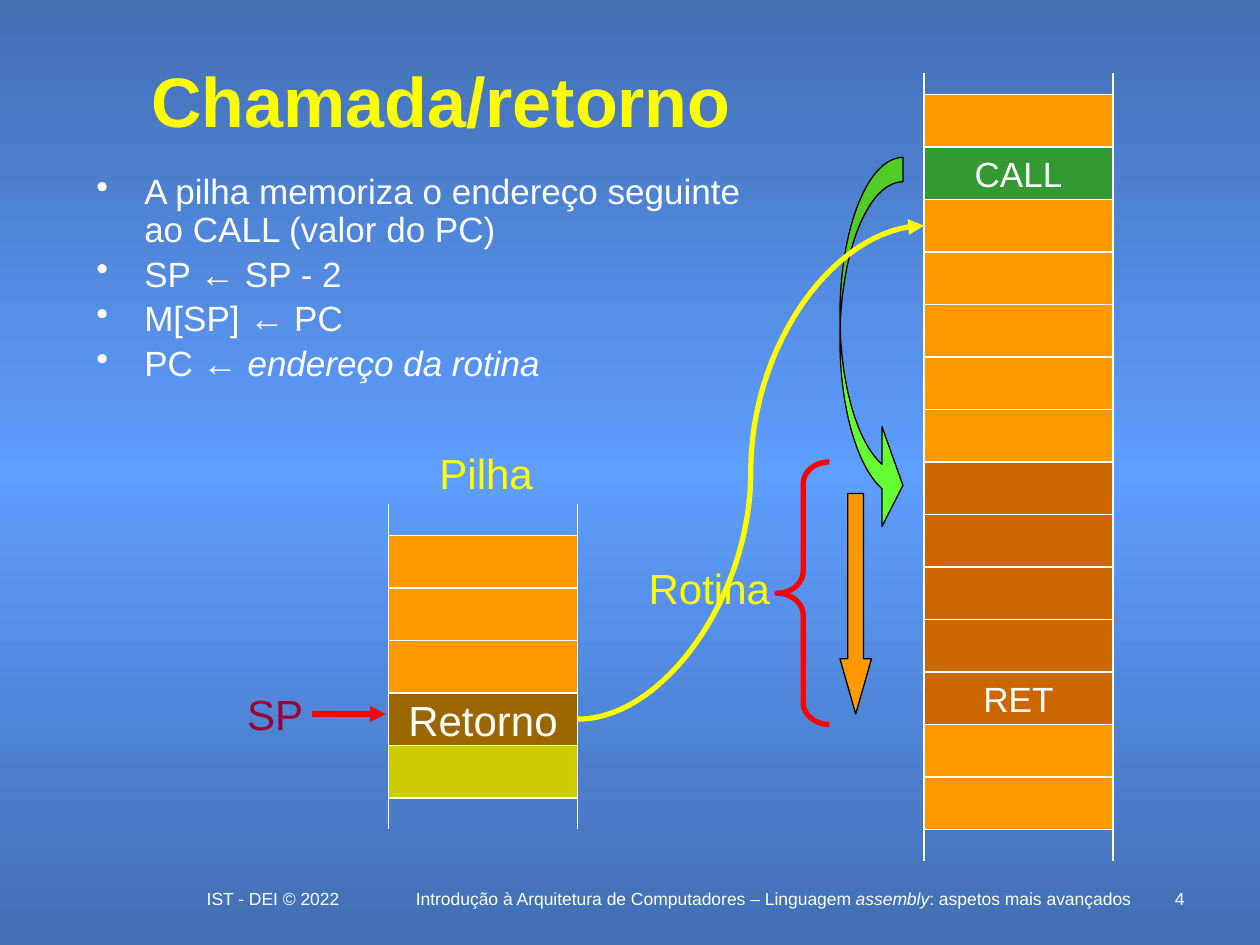
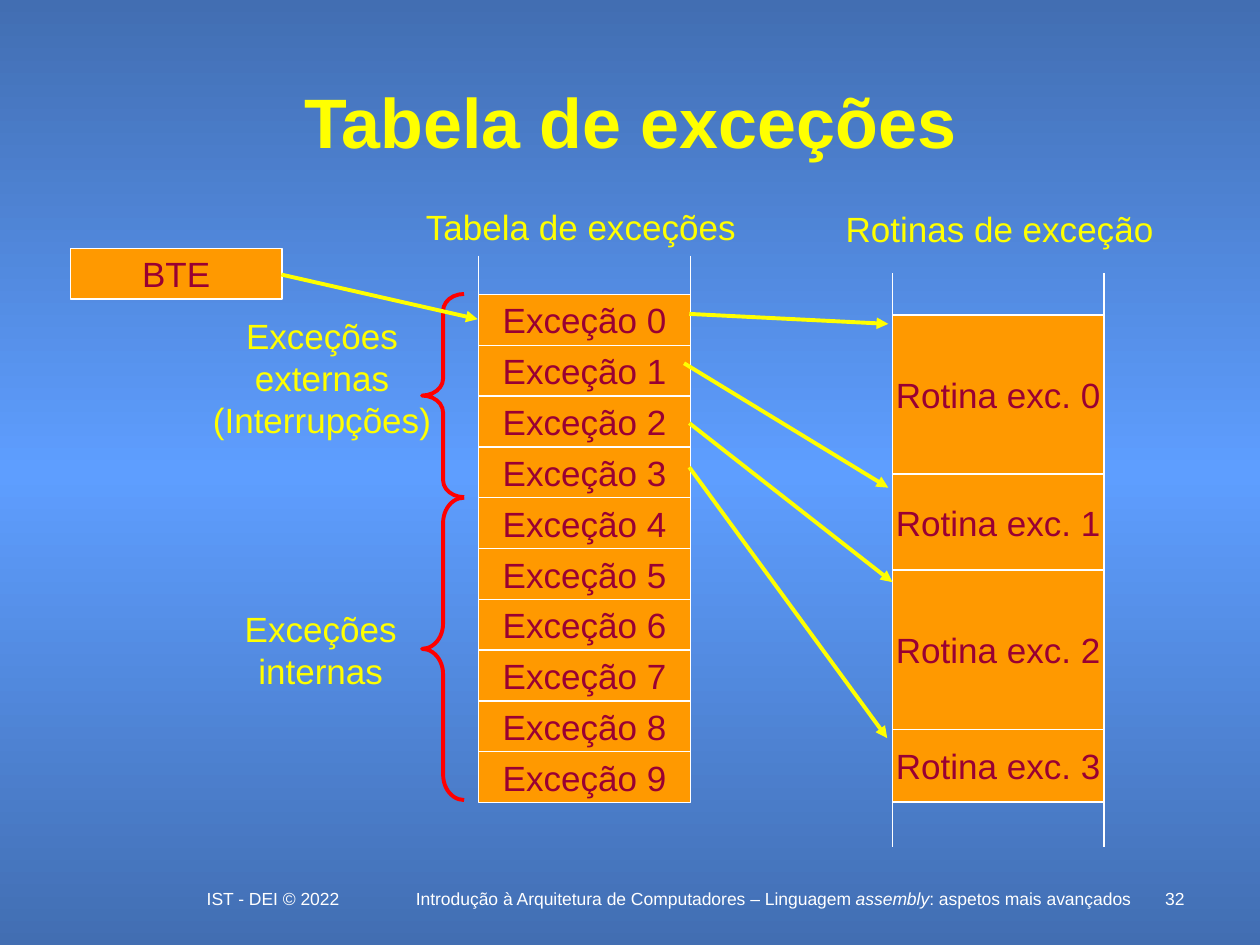
"""Two lecture slides on routine calls and the exception table."""
from copy import deepcopy
from dataclasses import dataclass

from pptx import Presentation
from pptx.dml.color import RGBColor
from pptx.enum.shapes import MSO_CONNECTOR, MSO_SHAPE
from pptx.enum.text import MSO_ANCHOR, PP_ALIGN
from pptx.oxml.ns import qn
from pptx.util import Inches, Pt


@dataclass(frozen=True)
class Theme:
    font: str = "Arial"
    edge: str = "426EB2"
    glow: str = "5E9EFF"
    white: str = "FFFFFF"
    black: str = "000000"
    yellow: str = "FFFF00"
    red: str = "FF0000"
    wine: str = "990033"
    orange: str = "FF9900"
    routine: str = "CC6600"
    call: str = "339933"
    saved: str = "996600"
    olive: str = "CCCC00"
    lime: str = "66FF33"
    title: int = 40
    label: int = 24
    body: int = 20
    footer: int = 10
    thin: float = 0.75
    medium: float = 2.25
    thick: float = 3


THEME = Theme()
COLUMNS, ROWS = 120, 90
CELL = Inches(10) / COLUMNS


def put(slide, box, lines=(), size=THEME.body, color=THEME.white, form=None,
        fill=None, line=None, width=THEME.thin, adjust=(), wrap=False,
        align=PP_ALIGN.CENTER, anchor=MSO_ANCHOR.TOP, bold=False, bullet=False):
    """Place a text or preset shape; asterisks in lines enclose italics."""
    place = [round(length * CELL) for length in box]
    if form is None:
        part = slide.shapes.add_textbox(*place)
    else:
        part = slide.shapes.add_shape(form, *place)
        part.shadow.inherit = False
        for index, value in enumerate(adjust):
            part.adjustments[index] = value
        if fill:
            part.fill.solid()
            part.fill.fore_color.rgb = RGBColor.from_string(fill)
        else:
            part.fill.background()
        part.line.color.rgb = RGBColor.from_string(line)
        part.line.width = Pt(width)
    frame = part.text_frame
    frame.word_wrap = wrap
    frame.vertical_anchor = anchor
    for index, text in enumerate(lines):
        paragraph = frame.add_paragraph() if index else frame.paragraphs[0]
        paragraph.alignment = align
        if bullet:
            properties = paragraph._p.get_or_add_pPr()
            properties.set("marL", str(Inches(0.38)))
            properties.set("indent", str(-Inches(0.38)))
            paragraph.line_spacing = 0.9
            if index:
                paragraph.space_before = Pt(size * 0.2)
            mark = properties.makeelement(qn("a:buChar"), {"char": "•"})
            properties.append(mark)
        paragraph.font.name = THEME.font
        paragraph.font.size = Pt(size)
        paragraph.font.bold = bold
        paragraph.font.color.rgb = RGBColor.from_string(color)
        for position, piece in enumerate(text.split("*")):
            if piece:
                run = paragraph.add_run()
                run.text = piece
                if position % 2:
                    run.font.italic = True


def stroke(slide, start, end, color=THEME.white, width=THEME.thin,
           arrow=False, kind=MSO_CONNECTOR.STRAIGHT):
    """Draw a line between two grid points."""
    link = slide.shapes.add_connector(
        kind, *[round(length * CELL) for length in (*start, *end)])
    link.line.color.rgb = RGBColor.from_string(color)
    link.line.width = Pt(width)
    properties = link._element.spPr
    if arrow:
        outline = link.line._get_or_add_ln()
        outline.append(outline.makeelement(qn("a:tailEnd"), {"type": "triangle"}))
    properties.append(properties.makeelement(qn("a:effectLst"), {}))


deck = Presentation()
deck.slide_width, deck.slide_height = round(COLUMNS * CELL), round(ROWS * CELL)

backdrop = deck.slide_master.background.fill
backdrop.gradient()
backdrop.gradient_angle = 90
stops = deck.slide_master.element.find(".//" + qn("a:gsLst"))
stops.append(deepcopy(stops[0]))
for stop, position, shade in zip(backdrop.gradient_stops, (0, 0.5, 1),
                                 (THEME.edge, THEME.glow, THEME.edge)):
    stop.position = position
    stop.color.rgb = RGBColor.from_string(shade)

slides = []
for heading, heading_box, number in (
        ("Chamada/retorno", (8, 5, 68, 9), "4"),
        ("Tabela de exceções", (8, 7, 104, 9), "32")):
    slide = deck.slides.add_slide(deck.slide_layouts[6])
    slides.append(slide)
    put(slide, (38, 84, 71.3, 3),
        ["Introdução à Arquitetura de Computadores – Linguagem *assembly*: "
         "aspetos mais avançados"], THEME.footer, wrap=True)
    put(slide, (109, 84, 5, 2), [number], THEME.footer, wrap=True,
        align=PP_ALIGN.RIGHT)
    put(slide, (16, 84, 20, 3), ["IST - DEI © 2022"], THEME.footer, wrap=True)
    put(slide, heading_box, [heading], THEME.title, THEME.yellow, wrap=True,
        anchor=MSO_ANCHOR.MIDDLE, bold=True)
calls, exceptions = slides

plain = ("", 5, THEME.orange)
routine = ("", 5, THEME.routine)
memory = [plain, ("CALL", 5, THEME.call), *[plain] * 5, *[routine] * 4,
          ("RET", 5, THEME.routine), *[plain] * 2]
stack = [*[plain] * 3, ("Retorno", 5, THEME.saved), ("", 5, THEME.olive)]
table = [(f"Exceção {index}", 4.84, THEME.orange) for index in range(10)]
routines = [(f"Rotina exc. {index}", height, THEME.orange)
            for index, height in enumerate((15.15, 9.15, 15.15, 6.95))]

for slide, left, width, top, rails, cells, size, color in (
        (calls, 88, 18, 9, (7, 82), memory, THEME.body, THEME.white),
        (calls, 37, 18, 51, (48, 79), stack, THEME.label, THEME.white),
        (exceptions, 45.6, 20.15, 28.05, (24.35, 76.4), table,
         THEME.body, THEME.wine),
        (exceptions, 85, 20.15, 30, (26.05, 80.65), routines,
         THEME.body, THEME.wine)):
    for text, height, fill in cells:
        put(slide, (left, top, width, height), [text] if text else [], size, color,
            MSO_SHAPE.RECTANGLE, fill, THEME.white, anchor=MSO_ANCHOR.MIDDLE)
        top += height
    for rail in (left, left + width):
        stroke(slide, (rail, rails[0]), (rail, rails[1]))

put(calls, (8, 16, 68, 26),
    ["A pilha memoriza o endereço seguinte ao CALL (valor do PC)",
     "SP ← SP - 2", "M[SP] ← PC", "PC ← *endereço da rotina*"],
    wrap=True, align=PP_ALIGN.LEFT, bullet=True)
for text, box, color in (("Rotina", (60.5, 53, 14.1, 6.1), THEME.yellow),
                         ("Pilha", (40.6, 42, 11.4, 6.1), THEME.yellow),
                         ("SP", (22.3, 65, 7.8, 6.1), THEME.wine)):
    put(calls, box, [text], THEME.label, color)
for form, box, fill, adjust in (
        (MSO_SHAPE.DOWN_ARROW, (80, 47, 3, 21), THEME.orange, (0.5, 1.75)),
        (MSO_SHAPE.CURVED_RIGHT_ARROW, (80, 15, 6, 36), THEME.lime,
         (0.386, 1.586, 0.333))):
    put(calls, box, form=form, fill=fill, line=THEME.black, adjust=adjust)
stroke(calls, (55, 68.5), (88, 21.5), THEME.yellow, THEME.thick, True,
       MSO_CONNECTOR.CURVE)
stroke(calls, (29.75, 68), (36.75, 68), THEME.red, THEME.thick, True)

for slide, box, width, bend in (
        (calls, (74, 44, 5, 25), THEME.thick, 0.417),
        (exceptions, (40.2, 28, 4, 19.35), THEME.medium, 0.403),
        (exceptions, (40.2, 47.4, 4, 28.8), THEME.medium, 0.601)):
    put(slide, box, form=MSO_SHAPE.LEFT_BRACE, line=THEME.red, width=width,
        adjust=(bend, 0.5))

put(exceptions, (6.7, 23.65, 20.15, 4.84), ["BTE"], color=THEME.wine,
    form=MSO_SHAPE.RECTANGLE, fill=THEME.orange, line=THEME.white,
    anchor=MSO_ANCHOR.MIDDLE)
for lines, box, wrap in (
        (["Rotinas de exceção"], (79.2, 19.2, 32, 5.25), False),
        (["Tabela de exceções"], (39.25, 19, 32.15, 5.25), False),
        (["Exceções externas (Interrupções)"], (18.85, 29.4, 23.65, 13.3), True),
        (["Exceções", "internas"], (22.05, 57.25, 17, 9.25), False)):
    put(exceptions, box, lines, color=THEME.yellow, wrap=wrap)
for start, end in (((26.8, 26.15), (45.5, 30.4)),
                   ((65.65, 29.9), (84.6, 30.85)),
                   ((65.15, 34.6), (84.6, 46.45)),
                   ((65.65, 40.3), (85, 55.45)),
                   ((65.65, 44.5), (84.5, 70.3))):
    stroke(exceptions, start, end, THEME.yellow, THEME.medium, True)

deck.save("out.pptx")
